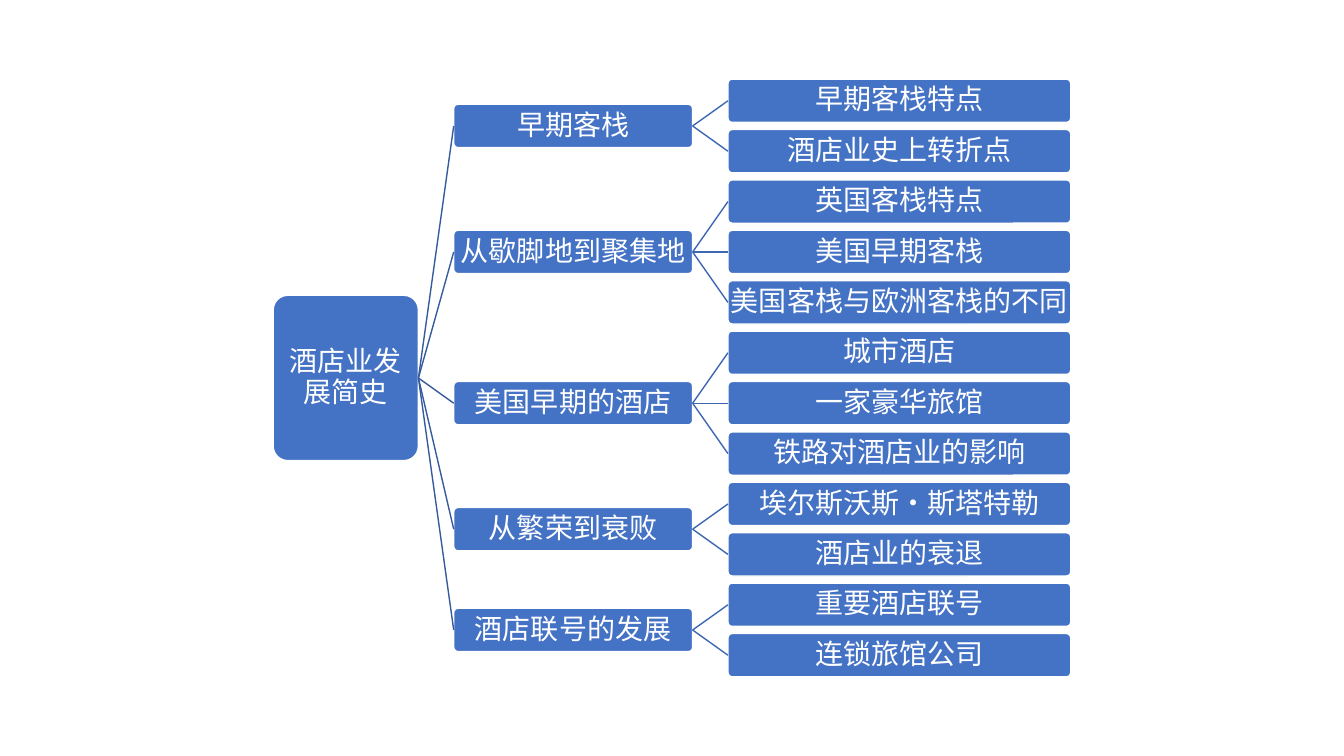
from dataclasses import dataclass

from lxml import etree
from pptx import Presentation
from pptx.dml.color import RGBColor as RGB
from pptx.enum.shapes import MSO_CONNECTOR as CONN, MSO_SHAPE as SHAPE
from pptx.enum.text import MSO_ANCHOR as ANCHOR, PP_ALIGN as ALIGN
from pptx.oxml.ns import qn
from pptx.util import Inches, Pt


@dataclass(frozen=True)
class Theme:
    font: str = "Noto Sans CJK SC"
    size: Pt = Pt(20)
    line: Pt = Pt(1)
    box: RGB = RGB(0x44, 0x72, 0xC4)
    white: RGB = RGB(0xFF, 0xFF, 0xFF)
    root_link: RGB = RGB(0x36, 0x5B, 0x9D)
    leaf_link: RGB = RGB(0x3E, 0x67, 0xB2)


theme = Theme()

ROOT = "酒店业发展简史"
BRANCHES = [
    ("早期客栈", ["早期客栈特点", "酒店业史上转折点"]),
    ("从歇脚地到聚集地", ["英国客栈特点", "美国早期客栈", "美国客栈与欧洲客栈的不同"]),
    ("美国早期的酒店", ["城市酒店", "一家豪华旅馆", "铁路对酒店业的影响"]),
    ("从繁荣到衰败", ["埃尔斯沃斯·斯塔特勒", "酒店业的衰退"]),
    ("酒店联号的发展", ["重要酒店联号", "连锁旅馆公司"]),
]

# Columns as (left, width), rows by the centres of the leaves, in inches
ROOT_COL, BRANCH_COL, LEAF_COL = (2.71, 1.44), (4.5, 2.37), (7.22, 3.4)
ROOT_H, ROW_H = 1.64, 0.43
FIRST_Y, LAST_Y = 1.0, 6.5
leaf_count = sum(len(leaves) for _, leaves in BRANCHES)
pitch = (LAST_Y - FIRST_Y) / (leaf_count - 1)

prs = Presentation()
prs.slide_width, prs.slide_height = Inches(13.33), Inches(7.5)
s = prs.slides.add_slide(prs.slide_layouts[6])


def add_node(text, column, center_y, height):
    left, width = column
    sp = s.shapes.add_shape(SHAPE.ROUNDED_RECTANGLE, Inches(left), Inches(center_y - height / 2),
                            Inches(width), Inches(height))
    sp.adjustments[0] = 0.1
    sp.shadow.inherit = False
    sp.fill.solid()
    sp.fill.fore_color.rgb = theme.box
    sp.line.color.rgb = theme.white
    sp.line.width = theme.line
    tf = sp.text_frame
    tf.word_wrap = True
    tf.vertical_anchor = ANCHOR.MIDDLE
    tf.margin_left = tf.margin_right = tf.margin_top = tf.margin_bottom = Inches(0.01)
    p = tf.paragraphs[0]
    p.alignment = ALIGN.CENTER
    p.line_spacing = 0.9
    r = p.add_run()
    r.text = text
    r.font.name = theme.font
    r.font.size = theme.size
    r.font.color.rgb = theme.white
    etree.SubElement(r.font._element, qn("a:ea"), typeface=theme.font)
    return sp


def link(parent, child, color):
    """Join the right side of parent to the left side of child."""
    line = s.shapes.add_connector(CONN.STRAIGHT, 0, 0, 0, 0)
    line.begin_connect(parent, 3)
    line.end_connect(child, 1)
    line.line.color.rgb = color
    line.line.width = theme.line
    etree.SubElement(line._element.spPr, qn("a:effectLst"))


root = add_node(ROOT, ROOT_COL, (FIRST_Y + LAST_Y) / 2, ROOT_H)
row = 0
for title, leaves in BRANCHES:
    branch_y = FIRST_Y + (row + (len(leaves) - 1) / 2) * pitch
    branch = add_node(title, BRANCH_COL, branch_y, ROW_H)
    link(root, branch, theme.root_link)
    for text in leaves:
        leaf = add_node(text, LEAF_COL, FIRST_Y + row * pitch, ROW_H)
        link(branch, leaf, theme.leaf_link)
        row += 1

prs.save("out.pptx")
